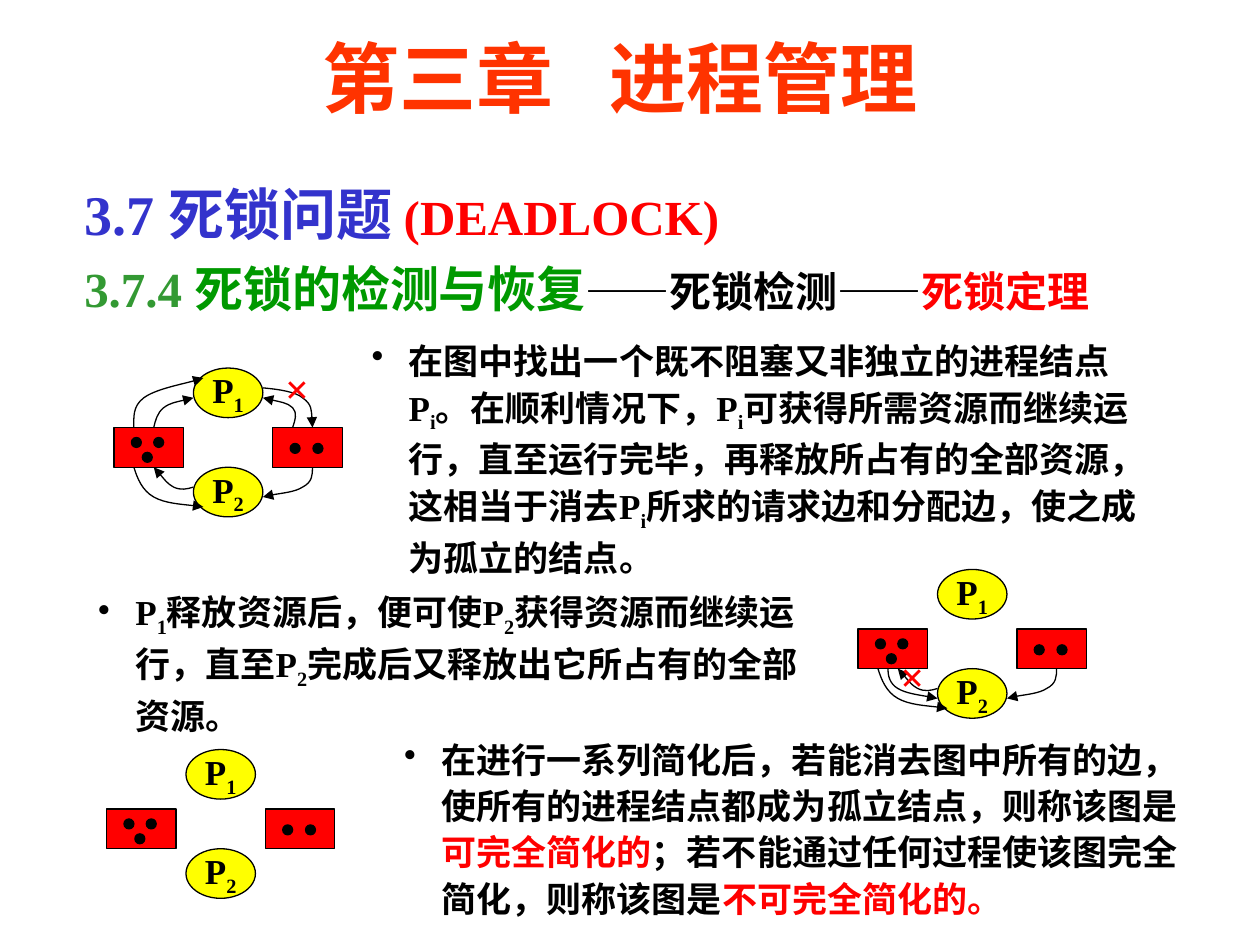
from dataclasses import dataclass

from lxml import etree
from pptx import Presentation
from pptx.dml.color import RGBColor
from pptx.enum import shapes, text
from pptx.oxml import ns
from pptx.util import Cm, Pt


@dataclass(frozen=True)
class Theme:
    font: str = "Times New Roman"
    title: str = "FF3300"
    section: str = "3333CC"
    number: str = "339933"
    topic: str = "009900"
    accent: str = "FF0000"
    ink: str = "000000"
    process: str = "FFFF00"
    title_size: int = 44
    section_size: int = 32
    topic_size: int = 28
    detail_size: int = 24
    body_size: int = 20
    line_width: float = 0.75
    subscript: str = "-25000"


THEME = Theme()

# Graph geometry in centimetres, measured from the graph's top left corner.
NODE_WIDTH, NODE_HEIGHT = 1.4, 1.0
RESOURCE_HEIGHT = 0.8
DOT = 0.2
PROCESSES = [("P_1", 1.6, 0), ("P_2", 1.6, 2)]
RESOURCES = [
    (3.2, 1.2, [(0.35, 0.32), (0.81, 0.32)]),
    (0, 1.2, [(0.35, 0.2), (0.8, 0.2), (0.57, 0.5)]),
]

# Each edge: a start point, then two cubic curves of three points each.
RIGHT_TO_P2 = [(4, 2), (4, 2.15), (4, 2.3), (3.8, 2.4),
               (3.65, 2.5), (3.15, 2.55), (3, 2.6)]
P2_TO_LEFT = [(1.6, 2.4), (1.47, 2.44), (1.35, 2.47), (1.2, 2.4),
              (1.07, 2.33), (0.87, 2.07), (0.8, 2)]
LEFT_TO_P2_OUTER = [(0.4, 2), (0.47, 2.23), (0.57, 2.47), (0.8, 2.6),
                    (1.03, 2.73), (1.63, 2.77), (1.8, 2.8)]
LEFT_TO_P2_INNER = [(0.6, 2), (0.6, 2.13), (0.63, 2.3), (0.8, 2.4),
                    (0.97, 2.5), (1.47, 2.57), (1.6, 2.6)]
P1_TO_RIGHT = [(3, 0.4), (3.33, 0.43), (3.66, 0.48), (3.8, 0.6),
               (4, 0.74), (4, 1.09), (4, 1.2)]
RIGHT_TO_P1 = [(3.6, 1.2), (3.65, 1.05), (3.7, 0.9), (3.6, 0.8),
               (3.5, 0.7), (3.1, 0.63), (3, 0.6)]
LEFT_TO_P1_INNER = [(0.8, 1.2), (0.83, 1.07), (0.87, 0.9), (1, 0.8),
                    (1.13, 0.7), (1.5, 0.63), (1.6, 0.6)]
LEFT_TO_P1_OUTER = [(0.4, 1.2), (0.4, 1), (0.37, 0.77), (0.6, 0.6),
                    (0.83, 0.43), (1.63, 0.27), (1.8, 0.2)]
P2_EDGES = [RIGHT_TO_P2, P2_TO_LEFT, LEFT_TO_P2_OUTER]
ALL_EDGES = P2_EDGES + [P1_TO_RIGHT, RIGHT_TO_P1, LEFT_TO_P1_INNER, LEFT_TO_P1_OUTER]


def add_run(paragraph, content, size, colour):
    run = paragraph.add_run()
    run.text = content
    run.font.name = THEME.font
    run.font.size = Pt(size)
    run.font.bold = True
    run.font.color.rgb = RGBColor.from_string(colour)
    return run


def write(paragraph, content, size, colour=THEME.ink):
    """Add runs; the character after each underscore becomes a subscript."""
    first, *others = content.split("_")
    if first:
        add_run(paragraph, first, size, colour)
    for part in others:
        subscript = add_run(paragraph, part[0], size, colour)
        subscript.font._element.set("baseline", THEME.subscript)
        if part[1:]:
            add_run(paragraph, part[1:], size, colour)


def add_text_box(slide, left, top, width, height, grow=True):
    frame = slide.shapes.add_textbox(Cm(left), Cm(top), Cm(width), Cm(height)).text_frame
    frame.word_wrap = True
    if grow:
        frame.auto_size = text.MSO_AUTO_SIZE.SHAPE_TO_FIT_TEXT
    return frame


def add_title(slide):
    frame = add_text_box(slide, 2.97, 0.18, 19.05, 2.74, grow=False)
    frame.vertical_anchor = text.MSO_ANCHOR.MIDDLE
    paragraph = frame.paragraphs[0]
    paragraph.alignment = text.PP_ALIGN.CENTER
    add_run(paragraph, "第三章", THEME.title_size, THEME.title)
    gap = add_run(paragraph, " ", THEME.title_size, THEME.title)
    gap.font._element.set("spc", "2200")
    add_run(paragraph, "进程管理", THEME.title_size, THEME.title)


def add_headings(slide):
    frame = add_text_box(slide, 1.45, 3.23, 22.7, 3.3)
    headings = [
        [("3.7 死锁问题", THEME.section_size, THEME.section),
         (" ", THEME.topic_size, THEME.section),
         ("(DEADLOCK)", THEME.topic_size, THEME.accent)],
        [("3.7.4 ", THEME.topic_size, THEME.number),
         ("死锁的检测与恢复", THEME.topic_size, THEME.topic),
         ("——死锁检测——", THEME.detail_size, THEME.ink),
         ("死锁定理", THEME.detail_size, THEME.accent)],
    ]
    for index, pieces in enumerate(headings):
        paragraph = frame.add_paragraph() if index else frame.paragraphs[0]
        paragraph.line_spacing = 1.2
        for piece in pieces:
            write(paragraph, *piece)


def add_bullet(slide, left, top, width, height, pieces):
    paragraph = add_text_box(slide, left, top, width, height).paragraphs[0]
    paragraph.line_spacing = 1.1
    properties = paragraph._p.get_or_add_pPr()
    properties.set("marL", str(Cm(0.75)))
    properties.set("indent", str(-Cm(0.75)))
    etree.SubElement(properties, ns.qn("a:buChar")).set("char", "•")
    for content, colour in pieces:
        write(paragraph, content, THEME.body_size, colour)


def outline(shape):
    shape.shadow.inherit = False
    shape.line.color.rgb = RGBColor.from_string(THEME.ink)
    shape.line.width = Pt(THEME.line_width)


def add_node(slide, kind, left, top, width, height, fill):
    shape = slide.shapes.add_shape(kind, Cm(left), Cm(top), Cm(width), Cm(height))
    outline(shape)
    shape.fill.solid()
    shape.fill.fore_color.rgb = RGBColor.from_string(fill)
    return shape


def add_edge(slide, left, top, points):
    """Draw a smooth arrow: every three points after the first make one cubic."""
    places = [(Cm(left + x), Cm(top + y)) for x, y in points]
    builder = slide.shapes.build_freeform(*places[0])
    builder.add_line_segments(places[1:], close=False)
    shape = builder.convert_to_shape()
    outline(shape)
    shape.fill.background()
    segments = list(shape._element.iter(ns.qn("a:lnTo")))
    outline_path = segments[0].getparent()
    for start in range(0, len(segments), 3):
        curve = etree.SubElement(outline_path, ns.qn("a:cubicBezTo"))
        for segment in segments[start:start + 3]:
            curve.append(segment[0])
            outline_path.remove(segment)
    arrowhead = etree.SubElement(shape.line._get_or_add_ln(), ns.qn("a:tailEnd"))
    arrowhead.set("type", "triangle")


def add_graph(slide, left, top, edges=(), cross=None):
    oval, rectangle = shapes.MSO_SHAPE.OVAL, shapes.MSO_SHAPE.RECTANGLE
    for name, x, y in PROCESSES:
        node = add_node(slide, oval, left + x, top + y, NODE_WIDTH, NODE_HEIGHT, THEME.process)
        frame = node.text_frame
        frame.word_wrap = False
        frame.vertical_anchor = text.MSO_ANCHOR.MIDDLE
        frame.paragraphs[0].alignment = text.PP_ALIGN.CENTER
        write(frame.paragraphs[0], name, THEME.body_size)
    for x, y, dots in RESOURCES:
        add_node(slide, rectangle, left + x, top + y, NODE_WIDTH, RESOURCE_HEIGHT, THEME.accent)
        for dot_x, dot_y in dots:
            add_node(slide, oval, left + x + dot_x, top + y + dot_y, DOT, DOT, THEME.ink)
    for points in edges:
        add_edge(slide, left, top, points)
    if cross:
        frame = add_text_box(slide, left + cross[0], top + cross[1], 1, 1.27)
        write(frame.paragraphs[0], "×", THEME.detail_size, THEME.accent)


def main():
    presentation = Presentation()
    presentation.slide_width, presentation.slide_height = Cm(25.4), Cm(19.05)
    slide = presentation.slides.add_slide(presentation.slide_layouts[6])
    add_title(slide)
    add_headings(slide)
    add_bullet(slide, 7.24, 6.63, 16.26, 4.9, [
        ("在图中找出一个既不阻塞又非独立的进程结点P_i。在顺利情况下，P_i可获得所需资源而继续运行，"
         "直至运行完毕，再释放所占有的全部资源，这相当于消去P_i所求的请求边和分配边，"
         "使之成为孤立的结点。", THEME.ink)])
    add_bullet(slide, 7.9, 14.68, 16.41, 3.99, [
        ("在进行一系列简化后，若能消去图中所有的边，使所有的进程结点都成为孤立结点，则称该图是", THEME.ink),
        ("可完全简化的", THEME.accent),
        ("；若不能通过任何过程使该图完全简化，则称该图是", THEME.ink),
        ("不可完全简化的。", THEME.accent)])
    add_bullet(slide, 1.73, 11.68, 14.81, 3.05, [
        ("P_1释放资源后，便可使P_2获得资源而继续运行，直至P_2完成后又释放出它所占有的全部资源。",
         THEME.ink)])
    add_graph(slide, 2.3, 7.42, ALL_EDGES, cross=(3.2, -0.23))
    add_graph(slide, 2.15, 15.11)
    add_graph(slide, 17.3, 11.48, P2_EDGES + [LEFT_TO_P2_INNER], cross=(0.6, 1.5))
    presentation.save("out.pptx")


if __name__ == "__main__":
    main()
